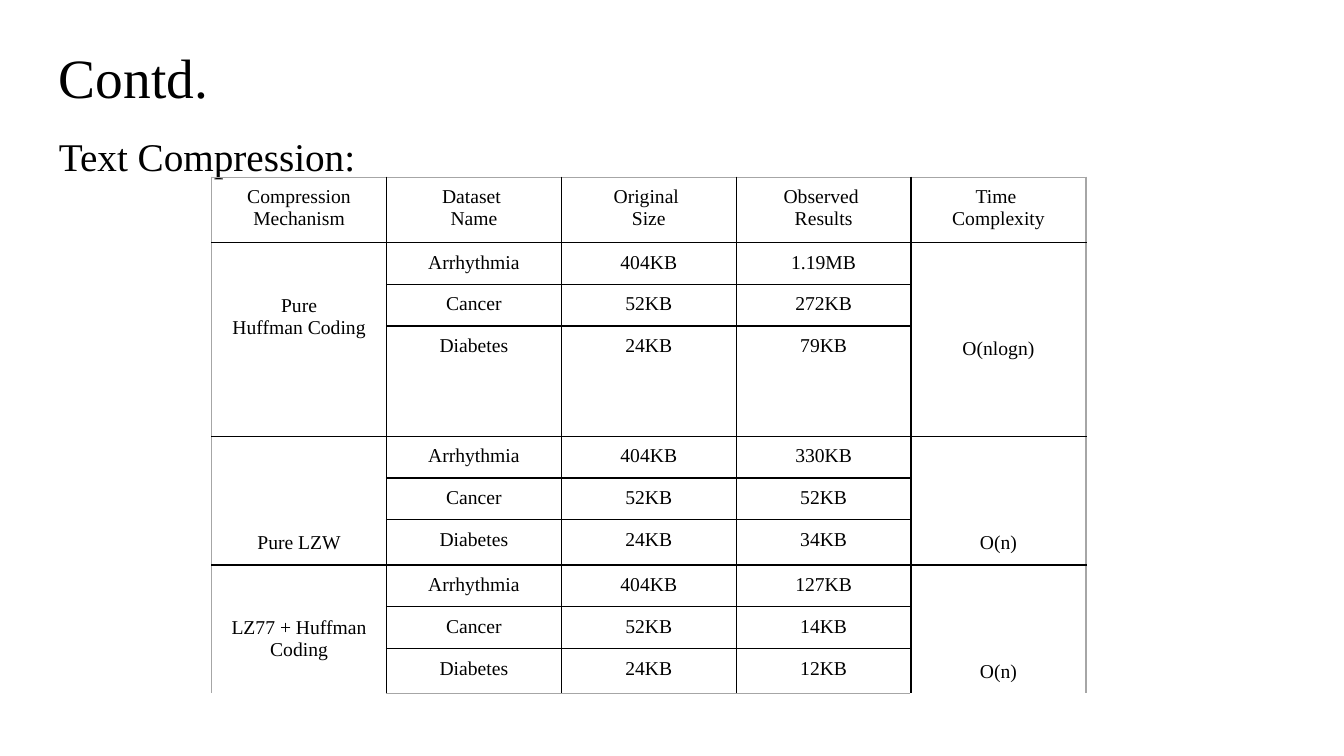
"""Build the text compression results slide."""
import pptx
import pptx.dml.color
import pptx.enum.text
import pptx.oxml.ns
import pptx.util
from lxml import etree

Pt = pptx.util.Pt
CENTER = pptx.enum.text.PP_ALIGN.CENTER
LEFT = pptx.enum.text.PP_ALIGN.LEFT
COLORS = {"text": "000000", "inner": "000000", "outer": "A6A6A6"}
FONT = "Times New Roman"
COL_WIDTH = 124.9
ROW_HEIGHTS = [45, 29.3, 29.3, 78.8, 29.3, 29.3, 32.3, 29.3, 29.3, 32.3]
HEADERS = ["Compression Mechanism", "Dataset \nName", "Original \nSize",
           "Observed \nResults", "Time \nComplexity"]
DATASETS = [("Arrhythmia", "404KB"), ("Cancer", "52KB"), ("Diabetes", "24KB")]
MECHANISMS = [
    ("Pure\nHuffman Coding", 31, ["1.19MB", "272KB", "79KB"], "O(nlogn)"),
    ("Pure LZW", 62, ["330KB", "52KB", "34KB"], "O(n)"),
    ("LZ77 + Huffman Coding", 31, ["127KB", "14KB", "12KB"], "O(n)"),
]


def write(tf, text, size, align):
    """Fill a text frame, one paragraph per line of text."""
    font = {"name": FONT, "size": Pt(size)}
    for i, line in enumerate(text.split("\n")):
        p = tf.add_paragraph() if i else tf.paragraphs[0]
        p.alignment = align
        r = p.add_run()
        r.text = line
        for key, value in font.items():
            setattr(r.font, key, value)
        r.font.color.rgb = pptx.dml.color.RGBColor.from_string(COLORS["text"])


def add_text(s, text, box, size, top):
    """Add a left-aligned heading with a given top inset."""
    tf = s.shapes.add_textbox(*map(Pt, box)).text_frame
    fmt = {"word_wrap": True, "margin_left": Pt(9.4), "margin_right": Pt(9.4),
           "margin_top": Pt(top), "margin_bottom": Pt(0)}
    for key, value in fmt.items():
        setattr(tf, key, value)
    write(tf, text, size, LEFT)


def set_cell(cell, text, drop=0):
    """Write centred text in a cell, dropped below the usual top inset."""
    fmt = {"margin_left": Pt(6.5), "margin_right": Pt(6.5),
           "margin_top": Pt(6.5 + drop), "margin_bottom": Pt(0 if drop else 6.5)}
    for key, value in fmt.items():
        setattr(cell, key, value)
    write(cell.text_frame, text, 14, CENTER)


def set_borders(cell, sides):
    """Draw the cell borders given as side letter and colour name."""
    tc_pr = cell._tc.get_or_add_tcPr()
    for i, (side, color) in enumerate(sides.items()):
        ln = etree.Element(pptx.oxml.ns.qn("a:ln" + side), w=str(Pt(1)))
        fill = etree.SubElement(ln, pptx.oxml.ns.qn("a:solidFill"))
        etree.SubElement(fill, pptx.oxml.ns.qn("a:srgbClr"), val=COLORS[color])
        tc_pr.insert(i, ln)


def style_grid(table):
    """Clear the fills and draw grey outer and black inner borders."""
    last_row, last_col = len(ROW_HEIGHTS) - 1, len(HEADERS) - 1
    for row in range(last_row + 1):
        for col in range(last_col + 1):
            cell = table.cell(row, col)
            cell.fill.background()
            sides = {"L": "inner" if col else "outer",
                     "R": "inner" if col < last_col else "outer"}
            merged = row and col in (0, last_col)
            if not merged or row % 3 == 1:
                sides["T"] = "inner" if row else "outer"
            if not merged or row % 3 == 0:
                sides["B"] = "inner" if row < last_row else "outer"
            set_borders(cell, sides)


def add_results(s):
    """Add the table of compression results."""
    n_rows, n_cols = len(ROW_HEIGHTS), len(HEADERS)
    table = s.shapes.add_table(n_rows, n_cols, Pt(151.2), Pt(126.6),
                               Pt(COL_WIDTH * n_cols), Pt(sum(ROW_HEIGHTS))).table
    table.first_row = table.horz_banding = False
    for col, header in enumerate(HEADERS):
        table.columns[col].width = Pt(COL_WIDTH)
        set_cell(table.cell(0, col), header)
    for row, height in enumerate(ROW_HEIGHTS):
        table.rows[row].height = Pt(height)
    for block, (name, drop, results, complexity) in enumerate(MECHANISMS):
        top = 1 + 3 * block
        for col, text, offset in ((0, name, drop), (4, complexity, 62)):
            table.cell(top, col).merge(table.cell(top + 2, col))
            set_cell(table.cell(top, col), text, offset)
        for i, (dataset, result) in enumerate(zip(DATASETS, results)):
            for col, text in enumerate((*dataset, result), 1):
                set_cell(table.cell(top + i, col), text)
    style_grid(table)


def main():
    """Build and save the slide."""
    prs = pptx.Presentation()
    prs.slide_width, prs.slide_height = Pt(960), Pt(540)
    s = prs.slides.add_slide(prs.slide_layouts[6])
    add_text(s, "Contd.", (32.7, 16.5, 894.5, 60.5), 39.6, 14.5)
    add_text(s, "Text Compression:", (32.7, 77, 894.5, 426.5), 28, 17.3)
    add_results(s)
    prs.save("out.pptx")


if __name__ == "__main__":
    main()
